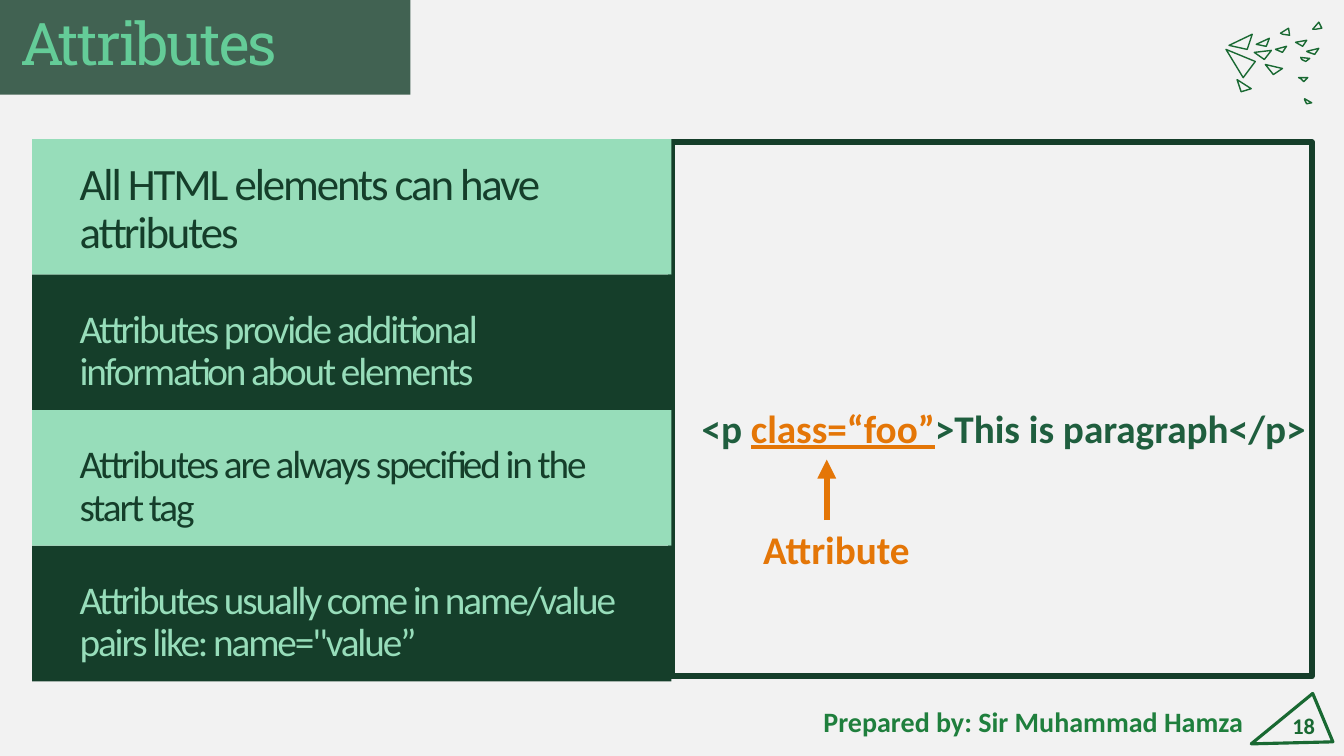
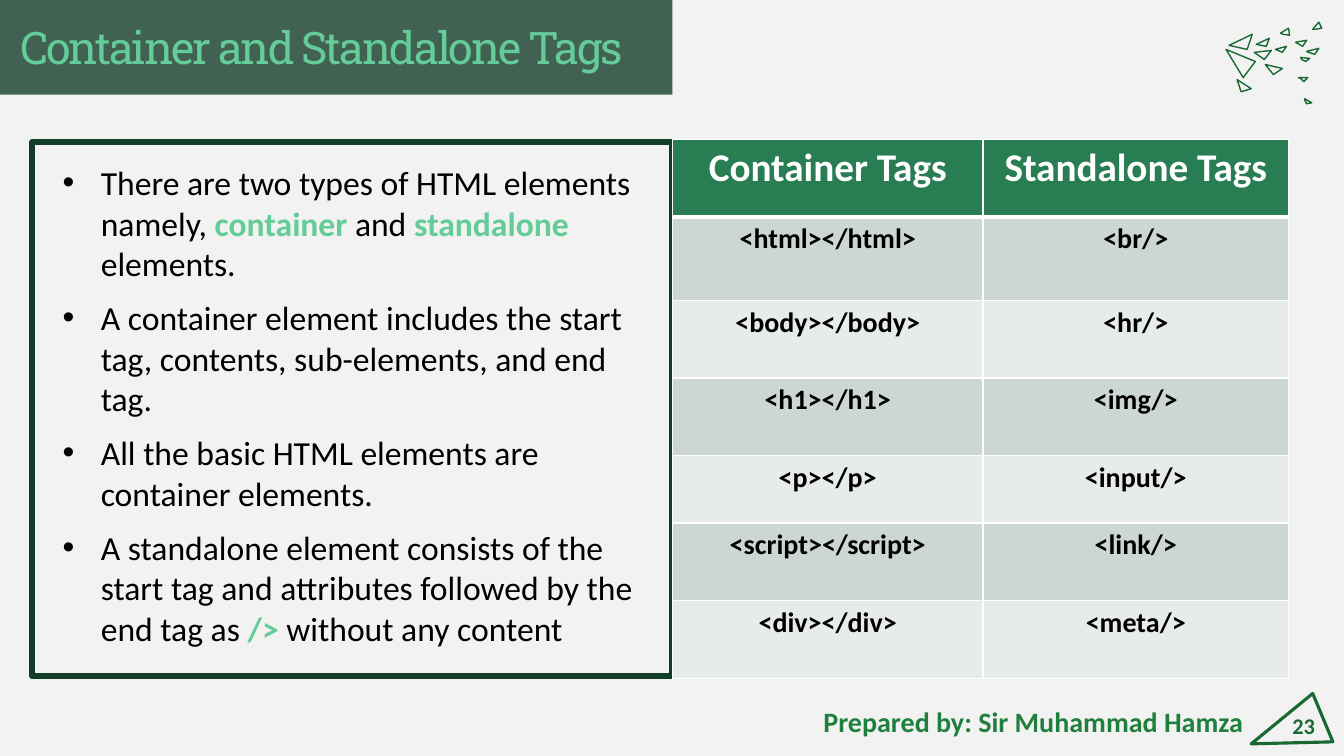
from dataclasses import dataclass
from itertools import cycle

from lxml.etree import SubElement
from pptx import Presentation
from pptx.dml.color import RGBColor
from pptx.enum.shapes import MSO_CONNECTOR, MSO_SHAPE
from pptx.enum.text import MSO_ANCHOR, PP_ALIGN
from pptx.oxml.ns import qn
from pptx.util import Inches, Pt

PAPER = RGBColor(0xF2, 0xF2, 0xF2)
FOREST = RGBColor(0x15, 0x3E, 0x2A)
MINT = RGBColor(0x97, 0xDD, 0xBA)
ACCENT = RGBColor(0x64, 0xCC, 0x98)
OUTLINE = RGBColor(0x19, 0x69, 0x32)
FOOTER = RGBColor(0x1F, 0x7F, 0x3D)
CODE = RGBColor(0x1F, 0x5E, 0x3E)
ORANGE = RGBColor(0xE4, 0x76, 0x07)
HEADER = RGBColor(0x29, 0x7D, 0x53)
ROW_DARK = RGBColor(0xCD, 0xD7, 0xD1)
ROW_LIGHT = RGBColor(0xE8, 0xEC, 0xE9)
BLACK = RGBColor(0, 0, 0)
WHITE = RGBColor(0xFF, 0xFF, 0xFF)

BODY_FONT = "Calibri"
TITLE_FONT = "Roboto Slab"
AUTHOR = "Prepared by: Sir Muhammad Hamza"
PAGE_TRIANGLE = [(13.02, 6.88), (13.22, 7.36), (12.41, 7.38)]
TRIANGLE_FLOCK = [
    [(12.42, 0.34), (12.37, 0.49), (12.19, 0.45)],
    [(12.61, 0.5), (12.54, 0.59), (12.44, 0.52)],
    [(12.59, 0.38), (12.56, 0.46), (12.46, 0.44)],
    [(12.76, 0.46), (12.72, 0.52), (12.65, 0.49)],
    [(12.78, 0.28), (12.79, 0.35), (12.72, 0.34), (12.7, 0.33)],
    [(12.99, 0.58), (12.95, 0.61), (12.91, 0.59), (12.9, 0.57)],
    [(13.08, 0.22), (13.11, 0.28), (13.05, 0.29), (13.02, 0.29)],
    [(12.96, 0.4), (12.92, 0.46), (12.85, 0.42)],
    [(13.08, 0.48), (13.04, 0.54), (12.98, 0.52), (12.96, 0.51)],
    [(12.45, 0.61), (12.33, 0.77), (12.16, 0.49)],
    [(12.72, 0.68), (12.63, 0.74), (12.55, 0.64)],
    [(12.97, 0.77), (12.93, 0.81), (12.9, 0.78), (12.88, 0.77)],
    [(12.41, 0.88), (12.31, 0.91), (12.27, 0.79)],
    [(13.01, 1.02), (12.96, 1.03), (12.94, 0.99), (12.94, 0.98)],
]


@dataclass
class Span:
    text: str
    color: RGBColor
    bold: bool = False
    underline: bool = False


class Lesson:
    def __init__(self):
        self.deck = Presentation()
        self.deck.slide_width = Inches(13.33)
        self.deck.slide_height = Inches(7.5)
        self.page = None

    def start(self, number):
        self.page = self.deck.slides.add_slide(self.deck.slide_layouts[6])
        self.page.background.fill.solid()
        self.page.background.fill.fore_color.rgb = PAPER
        self.label(12.6, 6.92, 0.54, 0.55, [Span(str(number), OUTLINE, True)], 16, PP_ALIGN.RIGHT)
        self.outline(self.page.shapes, PAGE_TRIANGLE, 2.25)
        self.label(8, 6.96, 4.5, 0.4, [Span(AUTHOR, FOOTER, True)], 20, PP_ALIGN.CENTER)
        flock = self.page.shapes.add_group_shape()
        for points in TRIANGLE_FLOCK:
            self.outline(flock.shapes, points, 1)

    def add_spans(self, para, spans, size, font=BODY_FONT, align=PP_ALIGN.LEFT, spacing=0):
        para.alignment = align
        for item in spans:
            span = para.add_run()
            span.text = item.text
            span.font.name = font
            span.font.size = Pt(size)
            span.font.color.rgb = item.color
            span.font.bold = item.bold
            span.font.underline = item.underline
            if spacing:
                span.font._element.set("spc", str(int(spacing * 100)))

    def frame(self, shape, insets, anchor):
        frame = shape.text_frame
        frame.word_wrap = True
        frame.vertical_anchor = anchor
        frame.margin_left, frame.margin_top, frame.margin_right, frame.margin_bottom = map(Inches, insets)
        return frame

    def label(self, left, top, width, height, spans, size, align=PP_ALIGN.LEFT):
        box = self.page.shapes.add_textbox(*map(Inches, (left, top, width, height)))
        frame = self.frame(box, (0.1, 0.05, 0.1, 0.05), MSO_ANCHOR.MIDDLE)
        self.add_spans(frame.paragraphs[0], spans, size, align=align)

    def outline(self, shapes, points, weight):
        first, *rest = [tuple(map(Inches, point)) for point in points]
        builder = shapes.build_freeform(*first)
        builder.add_line_segments(rest, close=True)
        shape = builder.convert_to_shape()
        shape.shadow.inherit = False
        shape.fill.background()
        shape.line.color.rgb = OUTLINE
        shape.line.width = Pt(weight)

    def rectangle(self, left, top, width, height):
        shape = self.page.shapes.add_shape(MSO_SHAPE.RECTANGLE, *map(Inches, (left, top, width, height)))
        shape.shadow.inherit = False
        return shape

    def band(self, area, fill, span, size, font=BODY_FONT, insets=(0.47, 0, 0.47, 0.16)):
        shape = self.rectangle(*area)
        shape.fill.solid()
        shape.fill.fore_color.rgb = fill
        shape.line.fill.background()
        para = self.frame(shape, insets, MSO_ANCHOR.BOTTOM).paragraphs[0]
        para.line_spacing = 0.9
        self.add_spans(para, [span], size, font, spacing=-1.5)
        return shape

    def title(self, text, width, size, bottom):
        shape = self.band((0, 0, width, 0.94), FOREST, Span(text, ACCENT), size,
                          TITLE_FONT, (0.2, 0, 0.2, bottom))
        color = shape._element.spPr.find(qn("a:solidFill")).find(qn("a:srgbClr"))
        SubElement(color, qn("a:alpha")).set("val", "80000")

    def panel(self, left):
        shape = self.rectangle(left, 1.41, 6.35, 5.3)
        shape.fill.background()
        shape.line.color.rgb = FOREST
        shape.line.width = Pt(4.5)
        return shape

    def bullets(self, shape, items):
        frame = self.frame(shape, (0.3, 0.2, 0.3, 0.1), MSO_ANCHOR.TOP)
        for index, spans in enumerate(items):
            para = frame.add_paragraph() if index else frame.paragraphs[0]
            para.space_before = Pt(10)
            self.add_spans(para, spans, 24)
            props = para._p.get_or_add_pPr()
            props.set("marL", str(Inches(0.38)))
            props.set("indent", str(-Inches(0.38)))
            SubElement(props, qn("a:buFont")).set("typeface", "Arial")
            SubElement(props, qn("a:buChar")).set("char", "•")

    def arrow(self, start, end):
        line = self.page.shapes.add_connector(MSO_CONNECTOR.STRAIGHT, *map(Inches, start + end))
        line.line.color.rgb = ORANGE
        line.line.width = Pt(4.5)
        SubElement(line.get_or_add_ln(), qn("a:tailEnd")).set("type", "triangle")
        SubElement(line._element.spPr, qn("a:effectLst"))

    def border(self, cell, side, weight):
        line = SubElement(cell._tc.get_or_add_tcPr(), qn("a:ln" + side))
        line.set("w", str(Pt(weight)))
        fill = SubElement(line, qn("a:solidFill"))
        SubElement(fill, qn("a:srgbClr")).set("val", str(WHITE))

    def table(self, left, top, widths, heights, rows):
        area = map(Inches, (left, top, sum(widths), sum(heights)))
        grid = self.page.shapes.add_table(len(rows), len(widths), *area).table
        for column, width in zip(grid.columns, widths):
            column.width = Inches(width)
        for index, (texts, height) in enumerate(zip(rows, heights)):
            grid.rows[index].height = Inches(height)
            fill = (ROW_DARK if index % 2 else ROW_LIGHT) if index else HEADER
            color, size = (BLACK, 20) if index else (WHITE, 28)
            for column, text in enumerate(texts):
                cell = grid.cell(index, column)
                for side in "LRTB":
                    heavy = (index, side) in ((0, "B"), (1, "T"))
                    self.border(cell, side, 3 if heavy else 1)
                cell.fill.solid()
                cell.fill.fore_color.rgb = fill
                self.add_spans(cell.text_frame.paragraphs[0], [Span(text, color, True)],
                               size, align=PP_ALIGN.CENTER)


def attributes(lesson):
    lesson.start(18)
    lesson.panel(6.66)
    lesson.title("Attributes", 4.07, 42, 0.16)
    facts = [
        ("All HTML elements can have attributes", 32),
        ("Attributes provide additional information about elements", 28),
        ("Attributes are always specified in the start tag", 28),
        ("Attributes usually come in name/value pairs like: name=\"value”", 28),
    ]
    height = 5.38 / len(facts)
    schemes = cycle([(MINT, FOREST), (FOREST, MINT)])
    for index, ((text, size), (fill, color)) in enumerate(zip(facts, schemes)):
        lesson.band((0.32, 1.38 + index * height, 6.34, height), fill, Span(text, color), size)
    lesson.label(6.86, 3.99, 6.4, 0.5, [
        Span("<p ", CODE, True),
        Span("class=“foo”", ORANGE, True, True),
        Span(">This is paragraph</p>", CODE, True),
    ], 28)
    lesson.label(7.47, 5.2, 2, 0.5, [Span("Attribute", ORANGE, True)], 28)
    lesson.arrow((8.2, 5.16), (8.2, 4.56))


def container_tags(lesson):
    lesson.start(23)
    lesson.bullets(lesson.panel(0.32), [
        [Span("There are two types of HTML elements namely, ", BLACK),
         Span("container", ACCENT, True), Span(" and ", BLACK),
         Span("standalone ", ACCENT, True), Span("elements.", BLACK)],
        [Span("A container element includes the start tag, contents, sub-elements, and end tag.", BLACK)],
        [Span("All the basic HTML elements are container elements.", BLACK)],
        [Span("A standalone element consists of the start tag and attributes followed by the end tag as ", BLACK),
         Span("/>", ACCENT, True), Span(" without any content", BLACK)],
    ])
    lesson.title("Container and Standalone Tags", 6.67, 32, 0.2)
    lesson.table(6.67, 1.38, [3.08, 3.03], [0.77, 0.83, 0.77, 0.77, 0.67, 0.77, 0.77], [
        ("Container Tags", "Standalone Tags"),
        ("<html></html>", "<br/>"),
        ("<body></body>", "<hr/>"),
        ("<h1></h1>", "<img/>"),
        ("<p></p>", "<input/>"),
        ("<script></script>", "<link/>"),
        ("<div></div>", "<meta/>"),
    ])


def main():
    lesson = Lesson()
    attributes(lesson)
    container_tags(lesson)
    lesson.deck.save("out.pptx")


if __name__ == "__main__":
    main()
